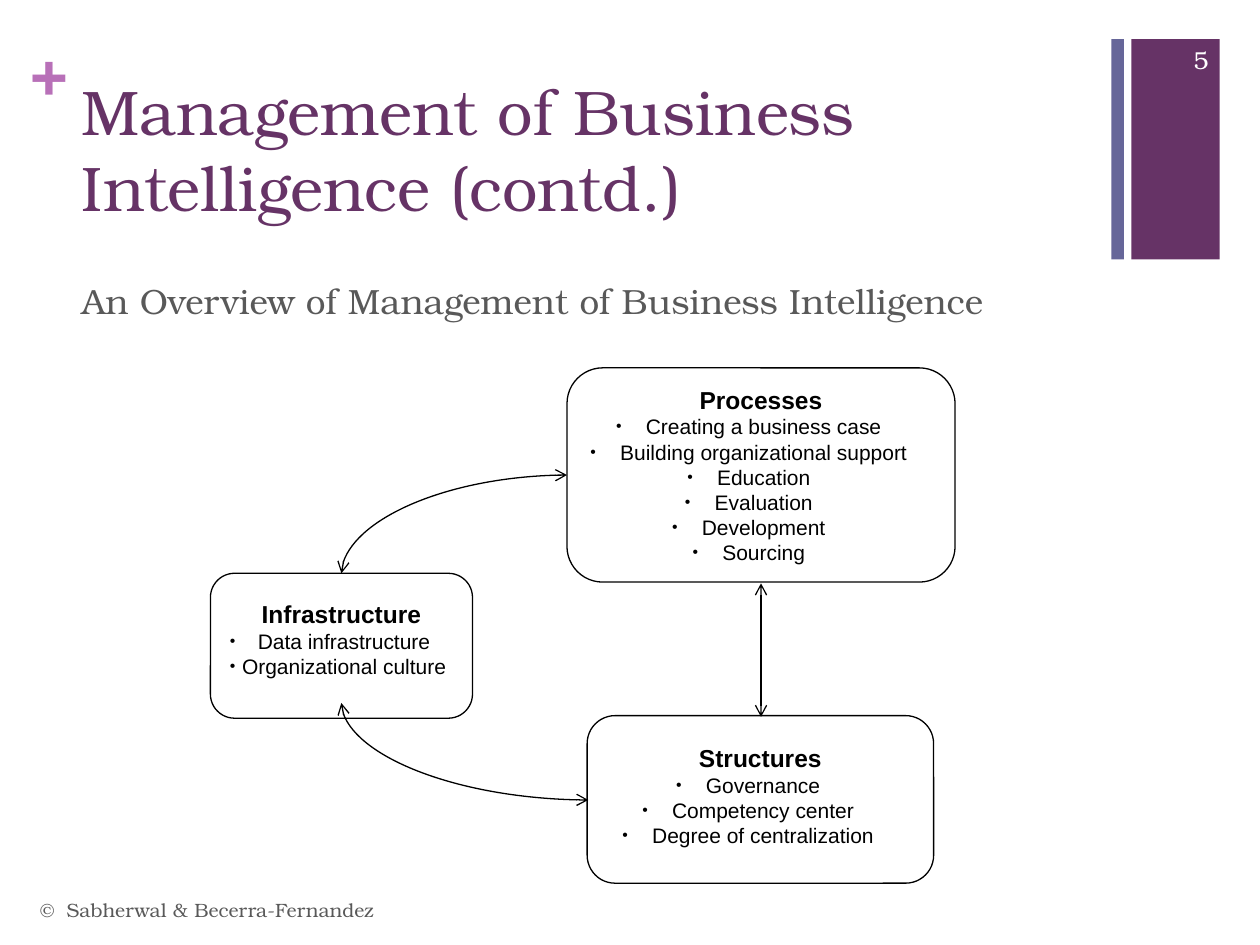
import pptx
import pptx.util
import pptx.dml.color
import pptx.enum.shapes
import pptx.enum.text
import pptx.oxml.ns
from lxml import etree

COLS, ROWS = 100, 75
WIDE, HIGH = pptx.util.Inches(10), pptx.util.Inches(7.5)
SERIF, SANS = "TeX Gyre Bonum", "Arial"
PLUM, SLATE, PINK, GREY = "663366", "666699", "B870B8", "595959"
BLACK, WHITE = "000000", "FFFFFF"
SHAPE = pptx.enum.shapes.MSO_SHAPE
LINK = pptx.enum.shapes.MSO_CONNECTOR
ALIGN = pptx.enum.text.PP_ALIGN
ANCHOR = pptx.enum.text.MSO_ANCHOR


def grid(*spots):
    """Turn alternating columns and rows into slide lengths."""
    units = (WIDE / COLS, HIGH / ROWS)
    return [round(spot * units[i % 2]) for i, spot in enumerate(spots)]


def paint(part, hue):
    part.rgb = pptx.dml.color.RGBColor.from_string(hue)


def apply(thing, values):
    for name, value in values.items():
        setattr(thing, name, value)


def add_xml(node, tag, **attrs):
    return etree.SubElement(node, pptx.oxml.ns.qn(tag), attrs)


def write(para, text, size, hue, face=SERIF, bold=False, align=ALIGN.LEFT):
    run = para.add_run()
    run.text = text
    para.alignment = align
    apply(run.font, {"size": pptx.util.Pt(size), "name": face, "bold": bold})
    paint(run.font.color, hue)


def add_text(slide, spot, text, size, hue, anchor=ANCHOR.TOP, inset=True, **style):
    frame = slide.shapes.add_textbox(*grid(*spot)).text_frame
    apply(frame, {"word_wrap": True, "vertical_anchor": anchor})
    if not inset:
        sides = ("left", "top", "right", "bottom")
        apply(frame, {f"margin_{side}": 0 for side in sides})
    write(frame.paragraphs[0], text, size, hue, **style)


def add_bar(slide, spot, hue):
    bar = slide.shapes.add_shape(SHAPE.RECTANGLE, *grid(*spot))
    bar.shadow.inherit = False
    bar.fill.solid()
    paint(bar.fill.fore_color, hue)
    bar.line.fill.background()


def add_bullet(para):
    props = para._p.get_or_add_pPr()
    hang = pptx.util.Inches(0.25)
    apply(props, {"marL": hang, "indent": -hang})
    paint_node = add_xml(props, "a:buClr")
    add_xml(paint_node, "a:srgbClr", val=BLACK)
    add_xml(props, "a:buSzPct", val="75000")
    add_xml(props, "a:buFont", typeface=SANS)
    add_xml(props, "a:buChar", char="•")


def add_card(slide, spot, head, items, drop=0):
    """Add a rounded box with a heading and bullets; drop lowers the text in inches."""
    card = slide.shapes.add_shape(SHAPE.ROUNDED_RECTANGLE, *grid(*spot))
    card.shadow.inherit = False
    card.fill.background()
    paint(card.line.color, BLACK)
    card.line.width = pptx.util.Pt(0.75)
    frame = card.text_frame
    apply(frame, {"word_wrap": True, "vertical_anchor": ANCHOR.TOP,
                  "margin_top": pptx.util.Inches(0.05 + drop)})
    write(frame.paragraphs[0], head, 14, BLACK, SANS, True, ALIGN.CENTER)
    for item in items:
        para = frame.add_paragraph()
        add_bullet(para)
        write(para, item, 12, BLACK, SANS, align=ALIGN.CENTER)


def add_link(slide, ends, kind=LINK.STRAIGHT):
    """Join two points with arrowheads at both ends; a curve starts level and ends upright."""
    link = slide.shapes.add_connector(kind, *grid(*ends))
    paint(link.line.color, BLACK)
    link.line.width = pptx.util.Pt(0.75)
    for tag in ("a:headEnd", "a:tailEnd"):
        add_xml(link.line._get_or_add_ln(), tag, type="arrow")
    props = link._element.spPr
    add_xml(props, "a:effectLst")
    if kind == LINK.CURVE:
        props.find(pptx.oxml.ns.qn("a:prstGeom")).set("prst", "curvedConnector2")


def main():
    deck = pptx.Presentation()
    apply(deck, {"slide_width": WIDE, "slide_height": HIGH})
    slide = deck.slides.add_slide(deck.slide_layouts[6])

    add_bar(slide, (89.8, 3.1, 7, 17.5), PLUM)
    add_bar(slide, (88.2, 3.1, 1, 17.5), SLATE)
    add_text(slide, (2.4, 2.5, 2.8, 6), "+", 36, PINK, inset=False, bold=True)
    add_text(slide, (5.5, 5.3, 82.6, 12.2),
             "Management of Business Intelligence (contd.)", 36, PLUM)
    add_text(slide, (5.5, 21.7, 82.6, 5),
             "An Overview of Management of Business Intelligence", 20, GREY)
    add_text(slide, (2.2, 70.2, 67, 4), "©  Sabherwal & Becerra-Fernandez",
             11, GREY, ANCHOR.MIDDLE)
    add_text(slide, (90.8, 2.7, 6.1, 4), "5", 14, WHITE, ANCHOR.MIDDLE,
             align=ALIGN.RIGHT)

    add_card(slide, (45, 29.2, 30.8, 17), "Processes",
             ["Creating a business case", "Building organizational support",
              "Education", "Evaluation", "Development", "Sourcing"])
    add_card(slide, (46.6, 56.8, 27.5, 13.3), "Structures",
             ["Governance", "Competency center", "Degree of centralization"], 0.1)
    add_card(slide, (16.7, 45.5, 20.8, 11.5), "Infrastructure",
             ["Data infrastructure", "Organizational culture"], 0.1)

    add_link(slide, (45, 37.7, 27.1, 45.5), LINK.CURVE)
    add_link(slide, (46.7, 63.5, 27.1, 55.8), LINK.CURVE)
    add_link(slide, (60.4, 46.3, 60.4, 56.9))
    deck.save("out.pptx")


if __name__ == "__main__":
    main()
